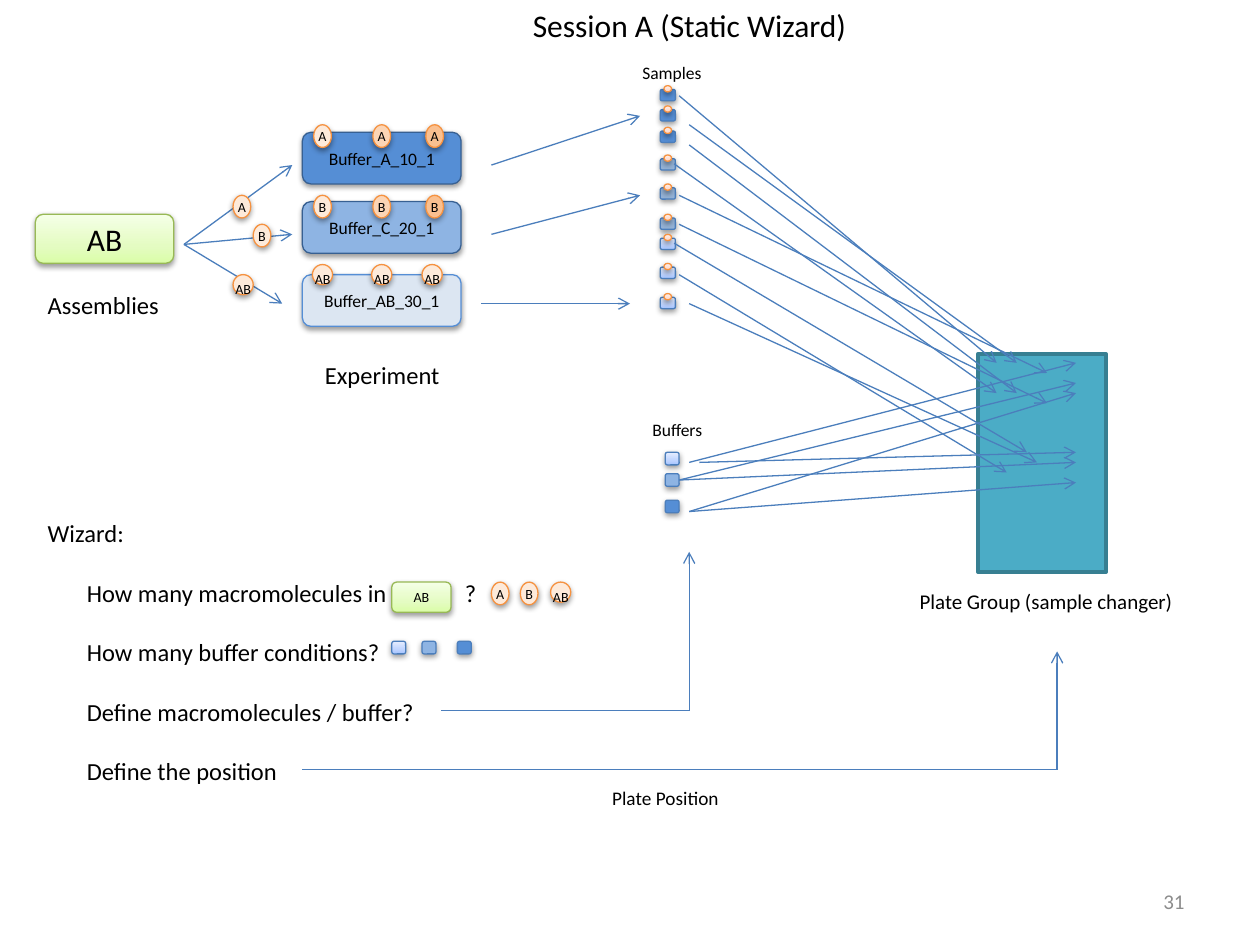
from lxml import etree
from pptx import Presentation
from pptx.dml.color import RGBColor
from pptx.enum.shapes import MSO_CONNECTOR, MSO_SHAPE
from pptx.enum.text import MSO_ANCHOR, PP_ALIGN
from pptx.oxml import parse_xml
from pptx.oxml.ns import nsdecls, qn
from pptx.util import Inches, Pt

BLACK = RGBColor(0x00, 0x00, 0x00)
GREY = RGBColor(0x8C, 0x8C, 0x8C)
TEAL = RGBColor(0x4B, 0xAC, 0xC6)
TEAL_EDGE = RGBColor(0x37, 0x7F, 0x92)
GREEN_EDGE = RGBColor(0x98, 0xB9, 0x55)
DEEP = RGBColor(0x55, 0x8E, 0xD5)
MID = RGBColor(0x8E, 0xB4, 0xE3)
DULL = RGBColor(0x95, 0xB3, 0xD7)
PALE = RGBColor(0xDC, 0xE6, 0xF2)
NAVY = RGBColor(0x37, 0x60, 0x92)
BLUE = RGBColor(0x4B, 0x7E, 0xBC)
ORANGE = RGBColor(0xF6, 0x92, 0x40)
PEACH = [RGBColor(0xFD, 0xEA, 0xDA), RGBColor(0xFC, 0xD5, 0xB5), RGBColor(0xFA, 0xC0, 0x90)]

# Colours of a gradient from bottom to top
GREEN_FADE = [RGBColor(0xDA, 0xFD, 0xA7), RGBColor(0xE4, 0xFC, 0xC2), RGBColor(0xF5, 0xFF, 0xE7)]
BLUE_FADE = [RGBColor(0xA4, 0xC4, 0xFF), RGBColor(0xBF, 0xD4, 0xFF), RGBColor(0xE6, 0xEE, 0xFF)]
PEACH_FADE = [RGBColor(0xFF, 0xD2, 0xBD), RGBColor(0xFF, 0xDE, 0xD0), RGBColor(0xFF, 0xF2, 0xED)]

ROUND, OVAL = MSO_SHAPE.ROUNDED_RECTANGLE, MSO_SHAPE.OVAL

# Start x, start y, end x, end y
FLOWS = [
    (3.9, 1.31, 5.08, 0.92), (3.9, 1.86, 5.08, 1.55), (3.82, 2.41, 5, 2.41),
    (5.39, 0.76, 7.91, 2.88), (5.47, 0.99, 8.07, 2.88), (5.47, 1.15, 8.07, 3.12),
    (5.35, 1.3, 7.91, 3.12), (5.39, 1.55, 8.31, 2.96), (5.39, 1.78, 8.31, 3.2),
    (5.35, 1.93, 8.15, 3.59), (5.39, 2.18, 7.99, 3.75), (5.47, 2.41, 8.23, 3.67),
    (5.47, 3.67, 8.54, 2.88), (5.39, 3.81, 8.54, 3.04), (5.47, 4.06, 8.54, 3.12),
    (5.55, 3.67, 8.54, 3.59), (5.39, 3.81, 8.54, 3.67), (5.47, 4.06, 8.54, 3.83),
    (1.46, 1.94, 2.32, 1.31), (1.46, 1.94, 2.32, 1.86), (1.46, 1.94, 2.24, 2.41),
]


def set_font(par, size, color=BLACK):
    par.font.name = "Calibri"
    par.font.size = Pt(size)
    par.font.color.rgb = color


def fade(shape, colors):
    """Fill with a three-stop gradient that rises from the bottom."""
    shape.fill.gradient()
    old = shape._element.spPr.find(qn("a:gradFill"))
    stops = "".join(f'<a:gs pos="{pos}"><a:srgbClr val="{color}"/></a:gs>'
                    for pos, color in zip((0, 35000, 100000), colors))
    old.getparent().replace(old, parse_xml(
        f'<a:gradFill {nsdecls("a")} rotWithShape="1"><a:gsLst>{stops}</a:gsLst>'
        '<a:lin ang="16200000" scaled="0"/></a:gradFill>'))


def add_shade(shape):
    shape._element.spPr.find(qn("a:effectLst")).append(parse_xml(
        f'<a:outerShdw {nsdecls("a")} blurRad="40000" dist="20000" dir="5400000" rotWithShape="0">'
        '<a:srgbClr val="000000"><a:alpha val="38000"/></a:srgbClr></a:outerShdw>'))


def add_block(slide, kind, box, fill, edge, text="", size=8, width=0.75, shade=True):
    """Add a shape; a list as fill makes a gradient."""
    shape = slide.shapes.add_shape(kind, *map(Inches, box))
    shape.shadow.inherit = False
    if isinstance(fill, list):
        fade(shape, fill)
    else:
        shape.fill.solid()
        shape.fill.fore_color.rgb = fill
    shape.line.color.rgb = edge
    shape.line.width = Pt(width)
    if shade:
        add_shade(shape)
    if text:
        frame = shape.text_frame
        frame.margin_left = frame.margin_right = 0
        frame.margin_top = frame.margin_bottom = 0
        frame.vertical_anchor = MSO_ANCHOR.MIDDLE
        par = frame.paragraphs[0]
        par.text = text
        par.alignment = PP_ALIGN.CENTER
        set_font(par, size)


def add_label(slide, box, text, size, color=BLACK):
    frame = slide.shapes.add_textbox(*map(Inches, box)).text_frame
    frame.word_wrap = False
    par = frame.paragraphs[0]
    par.text = text
    set_font(par, size, color)
    return frame


def add_ball(slide, left, top, text, fill=PEACH[0]):
    """Add a molecule: one letter inside, a pair of letters set lower."""
    if len(text) == 1:
        add_block(slide, OVAL, (left, top, 0.14, 0.18), fill, ORANGE, text)
    else:
        add_block(slide, OVAL, (left, top, 0.16, 0.16), fill, ORANGE)
        add_label(slide, (left - 0.08, top, 0.33, 0.24), text, 8)


def add_line(slide, ends, arrow=True):
    line = slide.shapes.add_connector(MSO_CONNECTOR.STRAIGHT, *map(Inches, ends))
    line.line.color.rgb = BLUE
    line.line.width = Pt(0.75)
    if arrow:
        etree.SubElement(line.line._get_or_add_ln(), qn("a:tailEnd"), type="arrow")
    etree.SubElement(line._element.spPr, qn("a:effectLst"))


def add_buffers(slide):
    rows = [
        (1.05, 0.99, "Buffer_A_10_1", "A", DEEP, NAVY, (2.49, 2.96, 3.38), PEACH),
        (1.6, 1.55, "Buffer_C_20_1", "B", MID, NAVY, (2.49, 2.96, 3.38), PEACH),
        (2.18, 2.1, "Buffer_AB_30_1", "AB", PALE, DEEP, (2.48, 2.95, 3.35), PEACH[:1] * 3),
    ]
    for top, rise, name, mark, fill, edge, lefts, tints in rows:
        add_block(slide, ROUND, (2.4, top, 1.26, 0.41), fill, edge, name, 10)
        for left, tint in zip(lefts, tints):
            add_ball(slide, left, rise, mark, tint)


def add_samples(slide):
    groups = [(DEEP, (0.71, 0.87, 1.04)), (DULL, (1.26, 1.49, 1.73)),
              (BLUE_FADE, (1.89, 2.12, 2.36))]
    for fill, tops in groups:
        for top in tops:
            add_block(slide, ROUND, (5.24, top, 0.12, 0.09), fill, BLUE)
            add_block(slide, OVAL, (5.27, top - 0.03, 0.06, 0.05), PEACH_FADE, ORANGE)


def add_chips(slide, spots):
    for (left, top), fill in zip(spots, (BLUE_FADE, MID, DEEP)):
        add_block(slide, ROUND, (left, top, 0.11, 0.1), fill, BLUE)


def add_steps(slide):
    frame = add_label(slide, (0.59, 4.54, 3.35, 1.75), "", 14)
    steps = ["How many macromolecules in\t?", "How many buffer conditions?",
             "Define macromolecules / buffer?", "Define the position"]
    for i, step in enumerate(steps):
        par = frame.add_paragraph() if i else frame.paragraphs[0]
        par.text = step
        if i:
            par.space_before = Pt(17)
        else:
            props = par._p.get_or_add_pPr()
            props.insert(0, parse_xml(f'<a:tabLst {nsdecls("a")}>'
                                      f'<a:tab pos="{Inches(3)}" algn="l"/></a:tabLst>'))
        set_font(par, 14)


def main():
    deck = Presentation()
    deck.slide_width, deck.slide_height = Inches(10), Inches(7.5)
    slide = deck.slides.add_slide(deck.slide_layouts[6])

    number = add_label(slide, (7.17, 6.95, 2.33, 0.4), "31", 12, GREY)
    number.word_wrap = True
    number.vertical_anchor = MSO_ANCHOR.MIDDLE
    number.paragraphs[0].alignment = PP_ALIGN.RIGHT

    add_block(slide, MSO_SHAPE.RECTANGLE, (7.76, 2.81, 1.02, 1.73), TEAL, TEAL_EDGE,
              width=2, shade=False)
    add_block(slide, ROUND, (0.28, 1.7, 1.1, 0.39), GREEN_FADE, GREEN_EDGE, "AB", 18)
    add_buffers(slide)
    add_samples(slide)
    add_chips(slide, [(5.28, 3.59), (5.28, 3.76), (5.28, 3.97)])
    for ends in FLOWS:
        add_line(slide, ends)
    for left, top, mark in [(1.85, 1.55, "A"), (2.01, 1.78, "B"), (1.85, 2.18, "AB"),
                            (3.9, 4.62, "A"), (4.13, 4.62, "B"), (4.37, 4.62, "AB")]:
        add_ball(slide, left, top, mark)

    add_steps(slide)
    add_chips(slide, [(3.11, 5.09), (3.35, 5.09), (3.63, 5.09)])
    add_block(slide, ROUND, (3.11, 4.62, 0.47, 0.24), GREEN_FADE, GREEN_EDGE, "AB")
    for left, right, low, high in [(3.5, 5.47, 5.64, 4.38), (2.4, 8.39, 6.11, 5.17)]:
        add_line(slide, (left, low, right, low), arrow=False)
        add_line(slide, (right, low, right, high))

    for box, text, size in [
        ((4.13, 0, 2.72, 0.4), "Session A (Static Wizard)", 18),
        ((2.48, 2.81, 1.12, 0.34), "Experiment", 14),
        ((5, 0.44, 0.68, 0.27), "Samples", 10),
        ((5.08, 3.28, 0.61, 0.27), "Buffers", 10),
        ((7.2, 4.62, 2.23, 0.3), "Plate Group (sample changer)", 12),
        ((0.28, 2.25, 1.09, 0.34), "Assemblies", 14),
        ((0.28, 4.06, 0.81, 0.34), "Wizard:", 14),
        ((4.76, 6.19, 1.05, 0.29), "Plate Position", 11),
    ]:
        add_label(slide, box, text, size)
    deck.save("out.pptx")


if __name__ == "__main__":
    main()
